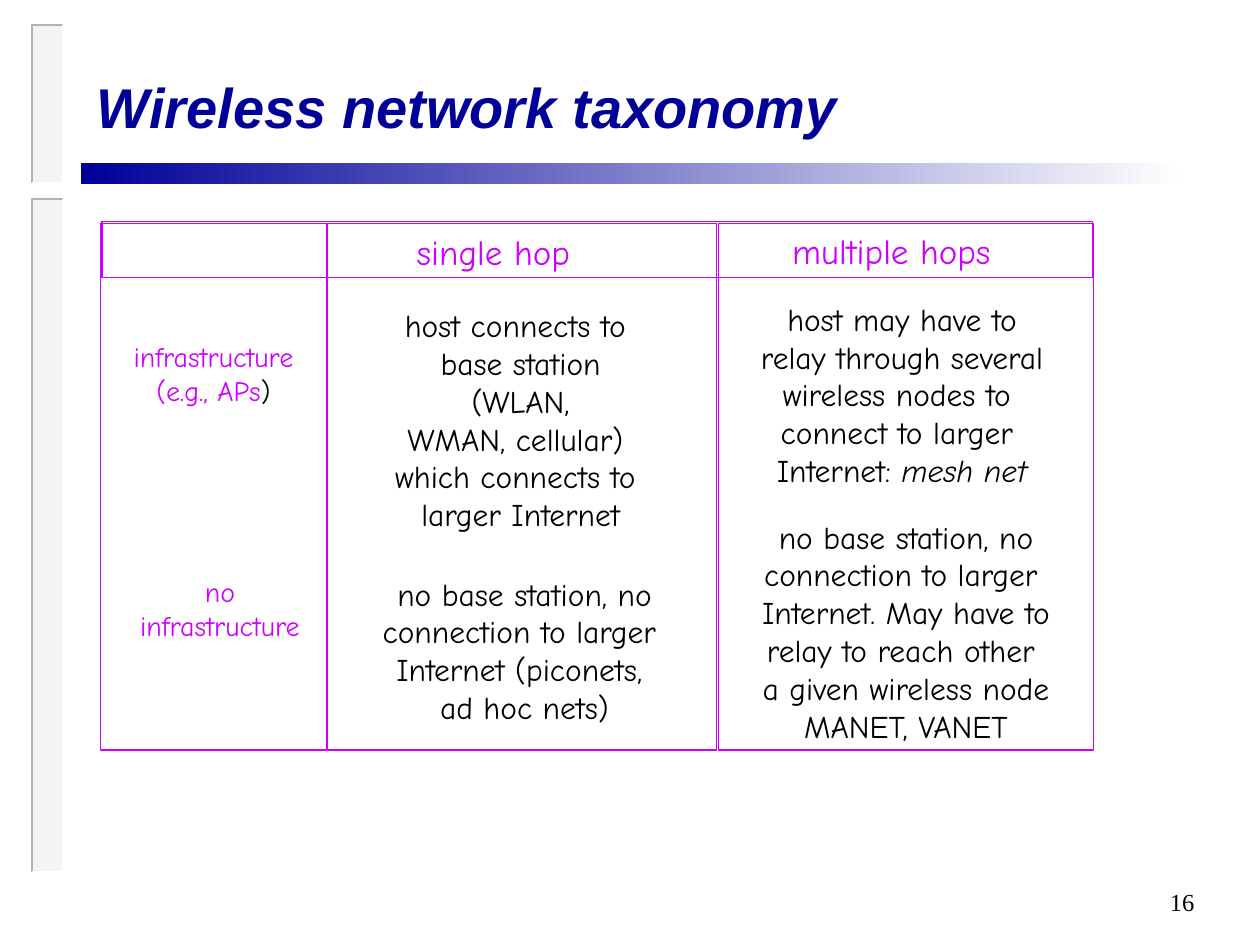
from lxml import etree
from pptx import Presentation
from pptx.dml.color import RGBColor
from pptx.enum.shapes import MSO_SHAPE
from pptx.enum.text import MSO_ANCHOR, MSO_AUTO_SIZE, PP_ALIGN
from pptx.oxml.ns import qn
from pptx.util import Cm, Pt

LEFT, CENTER, RIGHT = PP_ALIGN.LEFT, PP_ALIGN.CENTER, PP_ALIGN.RIGHT
MIDDLE = MSO_ANCHOR.MIDDLE
FIT_SHAPE, NO_FIT = MSO_AUTO_SIZE.SHAPE_TO_FIT_TEXT, MSO_AUTO_SIZE.NONE
RECTANGLE = MSO_SHAPE.RECTANGLE

NAVY = RGBColor(0x00, 0x00, 0x99)
MAGENTA = RGBColor(0xCC, 0x00, 0xFF)
BLACK = RGBColor(0x00, 0x00, 0x00)
WHITE = RGBColor(0xFF, 0xFF, 0xFF)
PANEL_GRAY = RGBColor(0xEA, 0xEA, 0xEA)
EDGE_GRAY = RGBColor(0xB2, 0xB2, 0xB2)

presentation = Presentation()
presentation.slide_width = Cm(25.4)
presentation.slide_height = Cm(19.05)
slide = presentation.slides.add_slide(presentation.slide_layouts[5])
shapes = slide.shapes


def add_rectangle(left, top, width, height):
    shape = shapes.add_shape(RECTANGLE, Cm(left), Cm(top), Cm(width), Cm(height))
    shape.shadow.inherit = False
    shape.fill.background()
    shape.line.fill.background()
    return shape


def add_text(left, top, width, height, lines, size, color, align=CENTER, font="Comic Neue"):
    box = shapes.add_textbox(Cm(left), Cm(top), Cm(width), Cm(height))
    frame = box.text_frame
    frame.word_wrap = False
    frame.auto_size = FIT_SHAPE
    frame.text = "\n".join(lines)
    for paragraph in frame.paragraphs:
        paragraph.alignment = align
        paragraph.font.name = font
        paragraph.font.size = Pt(size)
        paragraph.font.color.rgb = color
    return frame


panel_left, panel_right = 0.64, 1.27
for top, bottom in [(4.02, 17.57), (0.51, 3.68)]:
    panel = add_rectangle(panel_left, top, panel_right - panel_left, bottom - top)
    panel.fill.solid()
    panel.fill.fore_color.rgb = PANEL_GRAY
    panel_color = panel.element.find(".//" + qn("a:srgbClr"))
    etree.SubElement(panel_color, qn("a:alpha"), val="50000")
    for corner_x, corner_y, color in [
        (panel_left, top, EDGE_GRAY),
        (panel_right, bottom, WHITE),
    ]:
        builder = shapes.build_freeform(Cm(panel_right), Cm(top))
        builder.add_line_segments(
            [(Cm(corner_x), Cm(corner_y)), (Cm(panel_left), Cm(bottom))], close=False
        )
        edge = builder.convert_to_shape()
        edge.shadow.inherit = False
        edge.fill.background()
        edge.line.color.rgb = color
        edge.line.width = Pt(1)

title_band = add_rectangle(1.63, 3.28, 22.23, 0.43)
title_band.fill.gradient()
title_band.fill.gradient_angle = 0
for stop, position, color in zip(title_band.fill.gradient_stops, (0, 1), (NAVY, WHITE)):
    stop.position = position
    stop.color.rgb = color

title = shapes.title
title.left, title.top, title.width, title.height = Cm(1.7), Cm(0.61), Cm(22.86), Cm(3.07)
title.text_frame.text = "Wireless network taxonomy"
title.text_frame.vertical_anchor = MIDDLE
title.text_frame.auto_size = NO_FIT
heading = title.text_frame.paragraphs[0]
heading.alignment = LEFT
heading.font.name = "Arial"
heading.font.size = Pt(32)
heading.font.bold = True
heading.font.italic = True
heading.font.color.rgb = NAVY

page_number = add_text(19.05, 17.55, 5.28, 1.27, ["16"], 14, BLACK, RIGHT, "Times New Roman")
page_number.auto_size = NO_FIT
page_number.vertical_anchor = MIDDLE

table_top, table_height = 4.5, 10.62
for left, top, width, height in [
    (2.06, 4.47, 19.96, 1.12),
    (2.03, table_top, 4.55, table_height),
    (6.6, table_top, 7.85, table_height),
    (14.48, table_top, 7.57, table_height),
]:
    border = add_rectangle(left, top, width, height)
    border.line.color.rgb = MAGENTA
    border.line.width = Pt(0.75)

add_text(8.15, 4.52, 3.8, 1.12, ["single hop"], 20, MAGENTA, LEFT)
add_text(15.72, 4.5, 4.8, 1.12, ["multiple hops"], 20, MAGENTA, LEFT)

infrastructure = add_text(
    2.44, 6.73, 3.73, 1.63, ["infrastructure", "(e.g., APs"], 16, MAGENTA
)
closing_bracket = infrastructure.paragraphs[-1].add_run()
closing_bracket.text = ")"
closing_bracket.font.color.rgb = BLACK
add_text(2.57, 11.46, 3.73, 1.63, ["no", "infrastructure"], 16, MAGENTA)

add_text(7.7, 6.05, 5.59, 4.06, [
    "host connects to ", "base station (WLAN,", "WMAN, cellular) ",
    "which connects to ", "larger Internet",
], 18, BLACK)
add_text(7.44, 11.46, 6.27, 3.3, [
    "no base station, no", "connection to larger ", "Internet (piconets, ", "ad hoc nets)",
], 18, BLACK)
mesh = add_text(15.06, 5.92, 6.25, 4.06, [
    "host may have to", "relay through several", "wireless nodes to ",
    "connect to larger ", "Internet: ",
], 18, BLACK)
mesh_term = mesh.paragraphs[-1].add_run()
mesh_term.text = "mesh net"
mesh_term.font.italic = True
add_text(15.09, 10.31, 6.35, 4.83, [
    "no base station, no", "connection to larger ", "Internet. May have to",
    "relay to reach other ", "a given wireless node", "MANET, VANET",
], 18, BLACK)

presentation.save("out.pptx")
